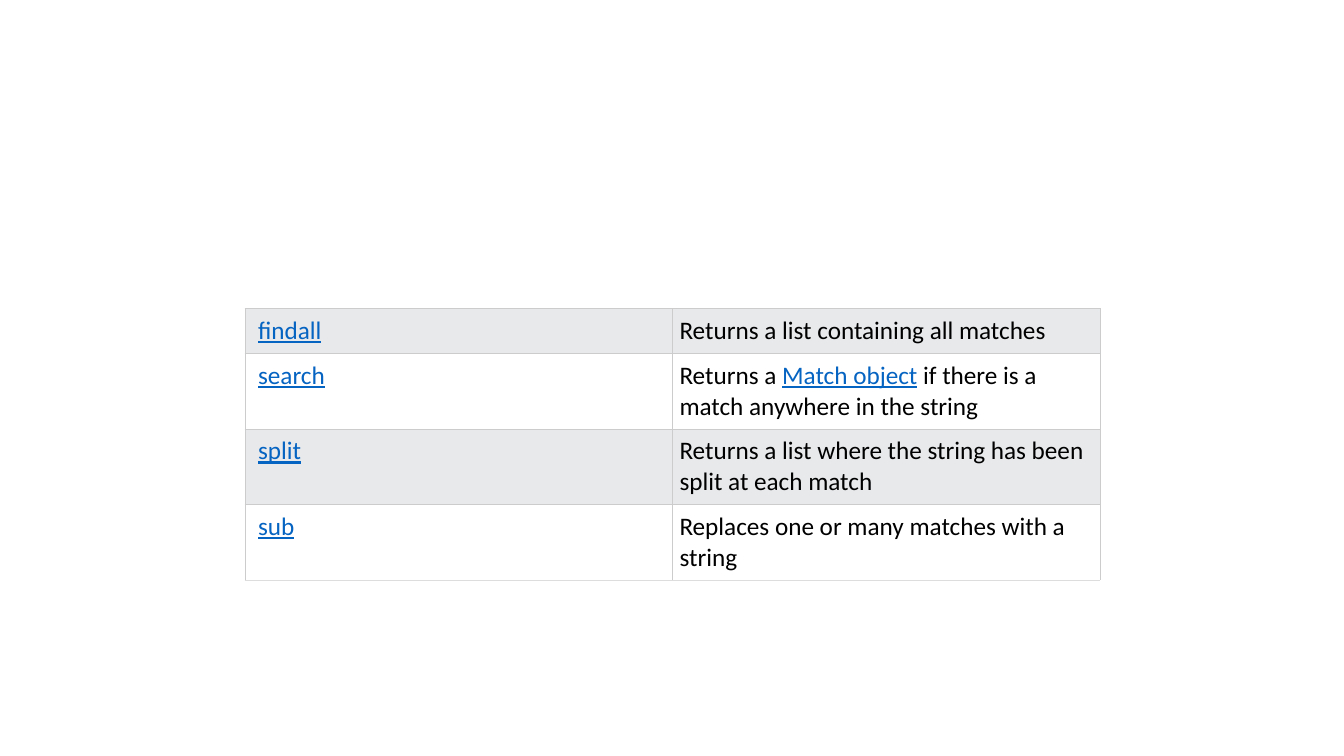
"""Build a slide with a table of regular expression functions."""
from lxml.etree import SubElement
from pptx import Presentation
from pptx.dml.color import RGBColor as Color
from pptx.oxml import parse_xml
from pptx.oxml.ns import nsdecls
from pptx.util import Inches, Pt

LINK, INK = RGB_PAIR = (Color(0x05, 0x63, 0xC1), Color(0, 0, 0))
GREY, WHITE = Color(0xE7, 0xE9, 0xEB), Color(0xFF, 0xFF, 0xFF)
RULE, LAST_RULE = Color(0xCC, 0xCC, 0xCC), Color(0xDD, 0xDD, 0xDD)

FUNCTIONS = [
    ("findall", [("Returns a list containing all matches", INK)]),
    ("search", [("Returns a ", INK), ("Match object", LINK),
                (" if there is a match anywhere in the string", INK)]),
    ("split", [("Returns a list where the string has been split at each match", INK)]),
    ("sub", [("Replaces one or many matches with a string", INK)]),
]
LEFT, TOP, COLUMN = 2.43, 3.06, 4.24
ROW_HEIGHTS = [0.44, 0.74, 0.74, 0.74]
PADDING, NAME_PADDING = 0.07, 0.13


def add_borders(cell, bottom):
    properties = cell._tc.get_or_add_tcPr()
    sides = {"lnL": RULE, "lnR": RULE, "lnT": RULE, "lnB": bottom}
    for position, (side, color) in enumerate(sides.items()):
        properties.insert(position, parse_xml(
            f'<a:{side} {nsdecls("a")} w="{Pt(0.6)}"><a:solidFill>'
            f'<a:srgbClr val="{color}"/></a:solidFill></a:{side}>'))


def fill_cell(cell, spans, fill, left, bottom):
    margins = {"margin_left": left, "margin_right": PADDING,
               "margin_top": PADDING, "margin_bottom": PADDING}
    for name, value in margins.items():
        setattr(cell, name, Inches(value))
    cell.fill.solid()
    cell.fill.fore_color.rgb = fill
    add_borders(cell, bottom)
    para = cell.text_frame.paragraphs[0]
    for text, color in spans:
        span = para.add_run()
        span.text = text
        style = {"name": "Calibri", "size": Pt(18), "bold": False,
                 "underline": color == LINK}
        for name, value in style.items():
            setattr(span.font, name, value)
        span.font.color.rgb = color


def main():
    deck = Presentation()
    deck.slide_width, deck.slide_height = Inches(13.33), Inches(7.5)
    page = deck.slides.add_slide(deck.slide_layouts[6])
    table = page.shapes.add_table(
        len(FUNCTIONS), 2, Inches(LEFT), Inches(TOP),
        Inches(2 * COLUMN), Inches(sum(ROW_HEIGHTS))).table
    table.first_row = table.horz_banding = False
    for column in table.columns:
        column.width = Inches(COLUMN)
    for index, (name, description) in enumerate(FUNCTIONS):
        table.rows[index].height = Inches(ROW_HEIGHTS[index])
        fill = WHITE if index % 2 else GREY
        bottom = LAST_RULE if index == len(FUNCTIONS) - 1 else RULE
        fill_cell(table.cell(index, 0), [(name, LINK)], fill, NAME_PADDING, bottom)
        fill_cell(table.cell(index, 1), description, fill, PADDING, bottom)
    deck.save("out.pptx")


if __name__ == "__main__":
    main()
